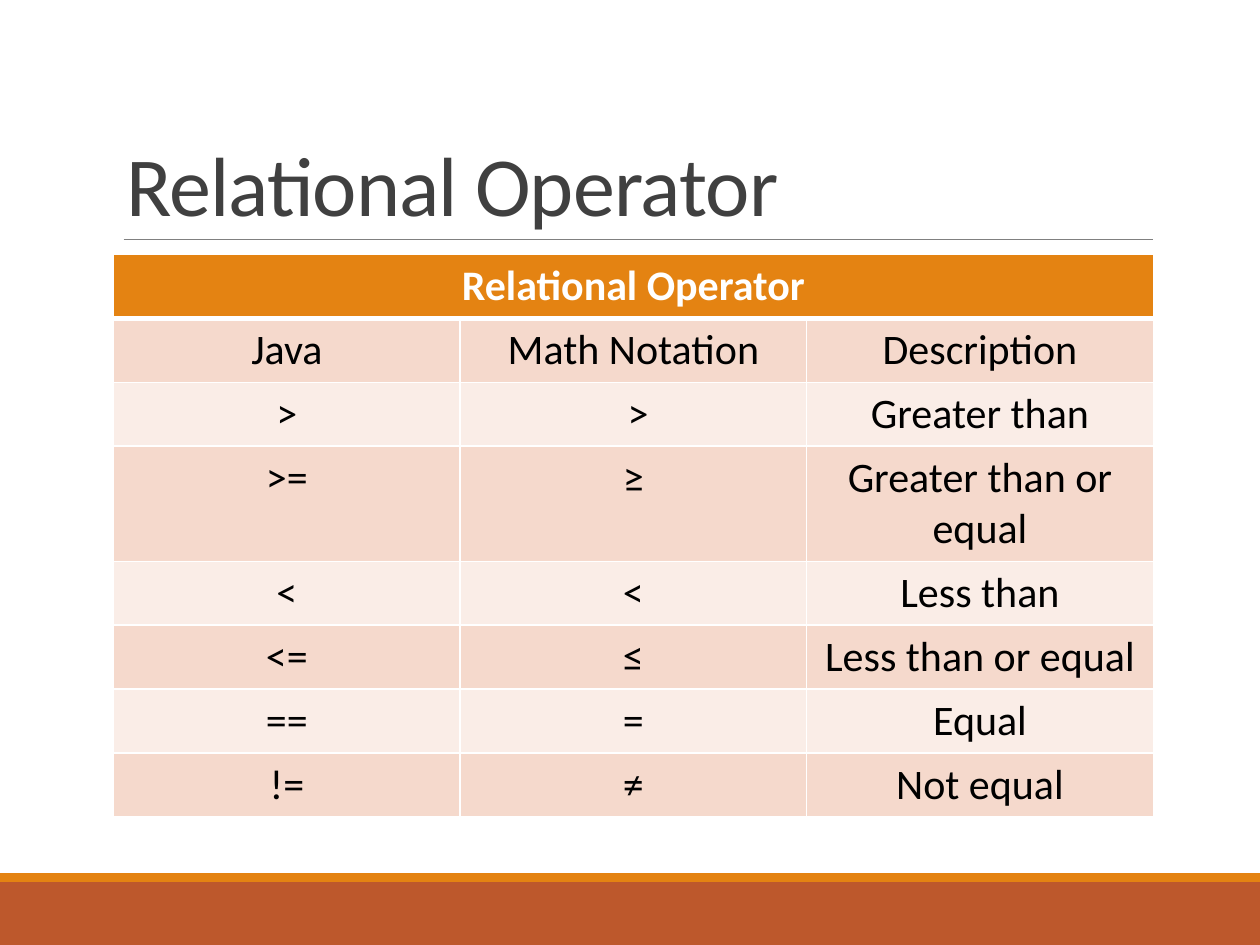
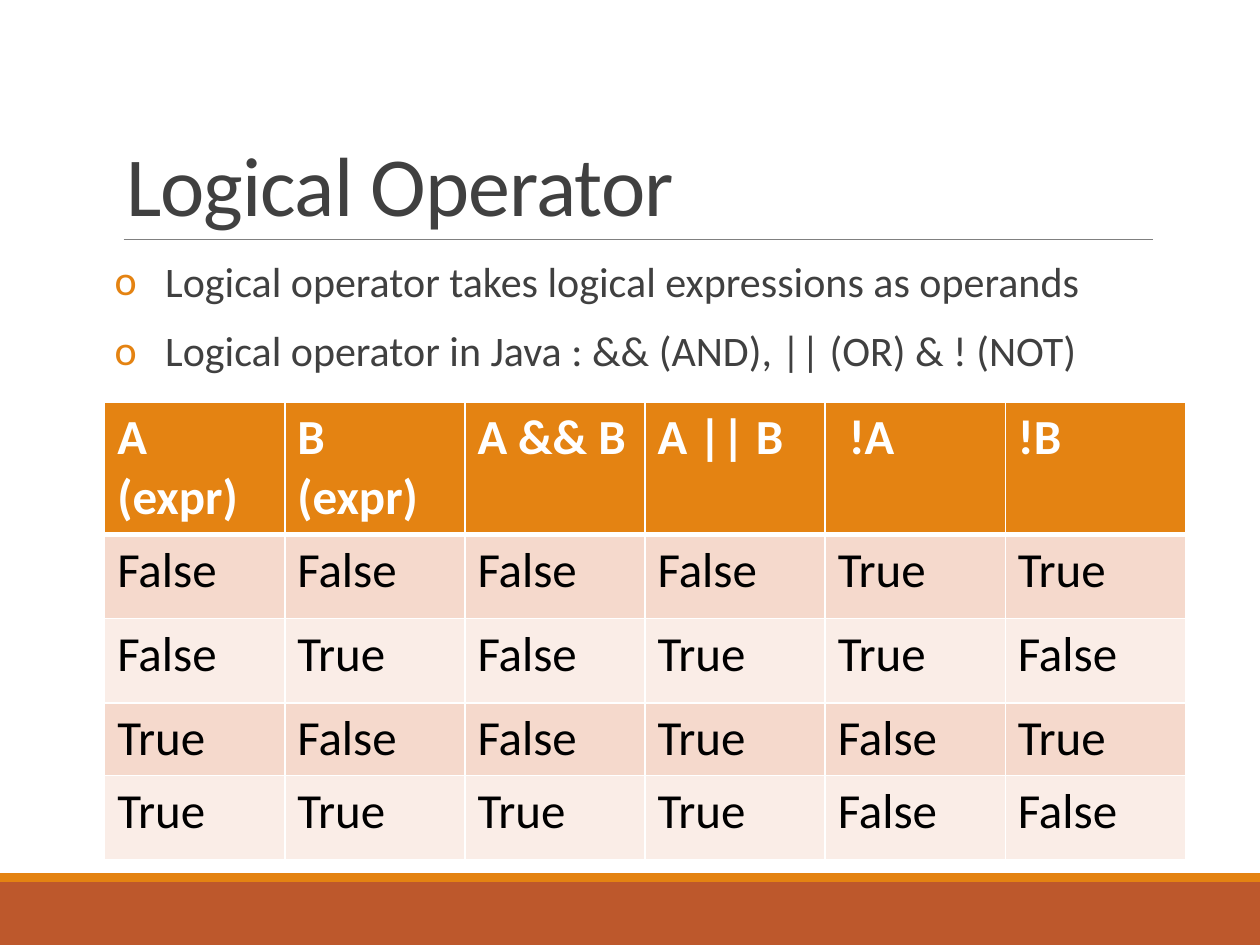
from lxml.etree import SubElement
from pptx import Presentation
from pptx.dml.color import RGBColor
from pptx.enum.shapes import MSO_CONNECTOR, MSO_SHAPE
from pptx.enum.text import MSO_ANCHOR, MSO_AUTO_SIZE, PP_ALIGN
from pptx.oxml.ns import qn
from pptx.util import Cm, Pt

COLOURS = {
    "rust": "BD582C",
    "orange": "E48312",
    "rule": "808080",
    "ink": "404040",
    "black": "000000",
    "white": "FFFFFF",
    "band_dark": "F5D9CC",
    "band_light": "FAEDE7",
}
FONT = "Calibri"
SLIDE_WIDTH, SLIDE_HEIGHT = Cm(25.4), Cm(19.05)
TITLE_ONLY, TITLE_AND_BODY = 5, 1

RELATIONAL_ROWS = [
    ("Relational Operator", "", ""),
    ("Java", "Math Notation", "Description"),
    (">", " >", "Greater than"),
    (">=", "≥", "Greater than or equal"),
    ("<", "<", "Less than"),
    ("<=", "≤", "Less than or equal"),
    ("==", "=", "Equal"),
    ("!=", "≠", "Not equal"),
]
LOGICAL_POINTS = [
    "Logical operator takes logical expressions as operands",
    "Logical operator in Java : && (AND), || (OR) & ! (NOT)",
]
TRUTH_HEADINGS = ("A (expr)", "B\n(expr)", "A && B", "A || B", " !A", "!B")


def rgb(name):
    return RGBColor.from_string(COLOURS[name])


def style_font(paragraph, size, colour, bold=False):
    font = paragraph.font
    font.name, font.size, font.bold = FONT, Pt(size), bold
    font.color.rgb = rgb(colour)


def place(shape, left, top, width, height):
    shape.left, shape.top = Cm(left), Cm(top)
    shape.width, shape.height = Cm(width), Cm(height)


def add_band(slide, top, height, colour):
    band = slide.shapes.add_shape(
        MSO_SHAPE.RECTANGLE, 0, Cm(top), SLIDE_WIDTH, Cm(height))
    band.shadow.inherit = False
    band.fill.solid()
    band.fill.fore_color.rgb = rgb(colour)
    band.line.fill.background()


def add_title_rule(slide):
    rule = slide.shapes.add_connector(
        MSO_CONNECTOR.STRAIGHT, Cm(2.49), Cm(4.83), Cm(23.24), Cm(4.83))
    rule.line.color.rgb = rgb("rule")
    rule.line.width = Pt(0.5)
    SubElement(rule._element.spPr, qn("a:effectLst"))


def add_slide(deck, layout, heading):
    slide = deck.slides.add_slide(deck.slide_layouts[layout])
    add_band(slide, 17.78, 1.27, "rust")
    add_band(slide, 17.6, 0.18, "orange")
    add_title_rule(slide)
    title = slide.shapes.title
    place(title, 2.29, 0.79, 20.96, 4.04)
    title.text = heading
    frame = title.text_frame
    frame.auto_size = MSO_AUTO_SIZE.NONE
    frame.vertical_anchor = MSO_ANCHOR.BOTTOM
    line = frame.paragraphs[0]
    line.alignment = PP_ALIGN.LEFT
    line.line_spacing = 0.85
    style_font(line, 48, "ink")
    line.runs[0].font._element.set("spc", "-50")
    return slide


def add_bullet(paragraph):
    properties = paragraph._p.get_or_add_pPr()
    properties.set("marL", str(Cm(1.02)))
    properties.set("indent", str(-Cm(1.02)))
    tint = SubElement(properties, qn("a:buClr"))
    SubElement(tint, qn("a:srgbClr"), val=COLOURS["orange"])
    SubElement(properties, qn("a:buFont"), typeface=FONT)
    SubElement(properties, qn("a:buChar"), char="o")


def fill_body(slide, points):
    body = slide.placeholders[1]
    place(body, 2.31, 5.13, 20.96, 11.18)
    frame = body.text_frame
    frame.auto_size = MSO_AUTO_SIZE.NONE
    frame.margin_left = frame.margin_right = 0
    frame.text = "\n".join(points)
    for paragraph in frame.paragraphs:
        paragraph.line_spacing = 0.9
        paragraph.space_before, paragraph.space_after = Pt(12), Pt(2)
        add_bullet(paragraph)
        style_font(paragraph, 24, "ink")


def add_borders(cell, top, bottom):
    properties = cell._tc.get_or_add_tcPr()
    for side, width in (("L", 1), ("R", 1), ("T", top), ("B", bottom)):
        edge = SubElement(properties, qn(f"a:ln{side}"), w=str(Pt(width)))
        paint = SubElement(edge, qn("a:solidFill"))
        SubElement(paint, qn("a:srgbClr"), val=COLOURS["white"])


def format_cell(cell, row, size, alignment):
    header = row == 0
    add_borders(cell, 3 if row == 1 else 1, 3 if header else 1)
    cell.fill.solid()
    banding = "band_dark" if row % 2 else "band_light"
    cell.fill.fore_color.rgb = rgb("orange" if header else banding)
    for paragraph in cell.text_frame.paragraphs:
        paragraph.alignment = alignment
        style_font(paragraph, size, "white" if header else "black", header)


def add_grid(slide, rows, left, top, width, heights, size, alignment):
    grid = slide.shapes.add_table(
        len(rows), len(rows[0]), Cm(left), Cm(top), Cm(width), Cm(sum(heights))).table
    for r, (texts, height) in enumerate(zip(rows, heights)):
        grid.rows[r].height = Cm(height)
        for c, text in enumerate(texts):
            cell = grid.cell(r, c)
            cell.text = text
            format_cell(cell, r, size, alignment)
    return grid


def truth_rows():
    rows = [TRUTH_HEADINGS]
    for a in (False, True):
        for b in (False, True):
            rows.append([str(value) for value in (a, b, a and b, a or b, not a, not b)])
    return rows


def main():
    deck = Presentation()
    deck.slide_width, deck.slide_height = SLIDE_WIDTH, SLIDE_HEIGHT

    relational = add_slide(deck, TITLE_ONLY, "Relational Operator")
    operators = add_grid(relational, RELATIONAL_ROWS, 2.29, 5.13, 20.96,
                         [1.04] * len(RELATIONAL_ROWS), 24, PP_ALIGN.CENTER)
    operators.cell(0, 0).merge(operators.cell(0, 2))

    logical = add_slide(deck, TITLE_AND_BODY, "Logical Operator")
    fill_body(logical, LOGICAL_POINTS)
    add_grid(logical, truth_rows(), 2.11, 8.1, 21.79,
             [2.67, 1.7, 1.7, 1.45, 1.7], 28, PP_ALIGN.LEFT)

    deck.save("out.pptx")


if __name__ == "__main__":
    main()
